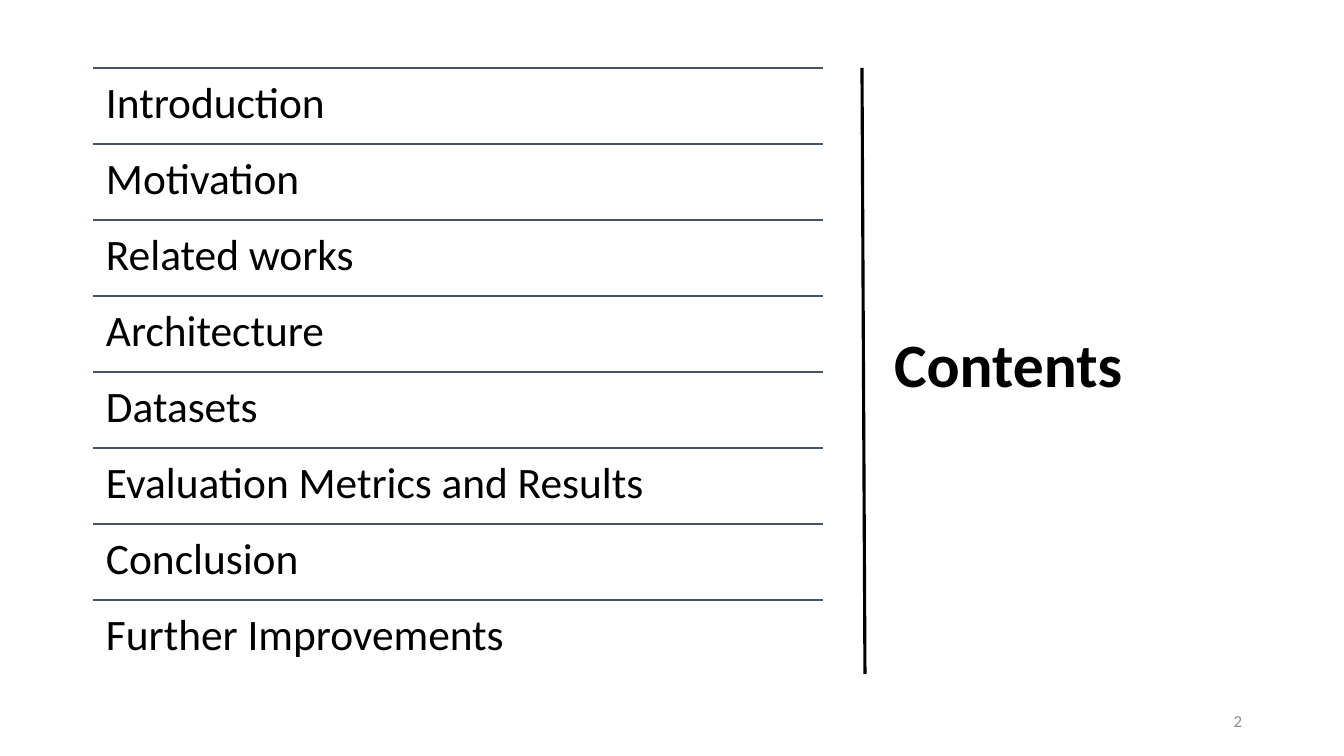
from pptx import Presentation
from pptx.dml.color import RGBColor
from pptx.enum.shapes import MSO_CONNECTOR as CONN
from pptx.enum.text import MSO_ANCHOR as ANCHOR, PP_ALIGN as ALIGN
from pptx.oxml.ns import qn
from pptx.util import Pt
from lxml import etree

PX = 12192000 / 1344  # EMU in one px
FONT = "Calibri"
COLORS = {"text": "000000", "rule": "44546A", "number": "8C8C8C"}
TOPICS = [
    "Introduction", "Motivation", "Related works", "Architecture", "Datasets",
    "Evaluation Metrics and Results", "Conclusion", "Further Improvements",
]
LIST_LEFT, LIST_TOP, LIST_WIDTH, ROW_HEIGHT = 93, 68, 730, 76


def px(*lengths):
    return [round(n * PX) for n in lengths]


def color(name):
    return RGBColor.from_string(COLORS[name])


def set_text(s, text, size, name="text", bold=False, align=ALIGN.LEFT,
             anchor=ANCHOR.MIDDLE, inset=None, spacing=None):
    tf = s.text_frame
    tf.text = text
    tf.word_wrap = True
    tf.vertical_anchor = anchor
    if inset is not None:
        tf.margin_left = tf.margin_top = tf.margin_right = tf.margin_bottom = px(inset)[0]
    p = tf.paragraphs[0]
    p.alignment = align
    p.line_spacing = spacing
    font = p.runs[0].font
    font.name, font.size, font.bold = FONT, Pt(size), bold
    font.color.rgb = color(name)


def add_line(slide, x1, y1, x2, y2, name, width):
    line = slide.shapes.add_connector(CONN.STRAIGHT, *px(x1, y1, x2, y2))
    line.line.color.rgb = color(name)
    line.line.width = Pt(width)
    etree.SubElement(line._element.spPr, qn("a:effectLst"))


def add_text(slide, box, text, size, **style):
    set_text(slide.shapes.add_textbox(*px(*box)), text, size, **style)


def add_topic(slide, row, topic):
    top = LIST_TOP + row * ROW_HEIGHT
    add_line(slide, LIST_LEFT, top, LIST_LEFT + LIST_WIDTH, top, "rule", 1)
    add_text(slide, (LIST_LEFT, top, LIST_WIDTH, ROW_HEIGHT), topic, 31,
             anchor=ANCHOR.TOP, inset=13, spacing=0.9)


def main():
    prs = Presentation()
    prs.slide_width, prs.slide_height = px(1344, 756)
    slide = prs.slides.add_slide(prs.slide_layouts[5])

    # Title on the right
    title = slide.shapes.title
    title.left, title.top, title.width, title.height = px(884, 60, 368, 615)
    set_text(title, "Contents", 44, bold=True, spacing=0.9)

    # Ruled list of topics
    for row, topic in enumerate(TOPICS):
        add_topic(slide, row, topic)

    # Divider and slide number
    add_line(slide, 862, 68, 865, 674, "text", 2.25)
    add_text(slide, (950, 701, 302, 40), "2", 12, name="number", align=ALIGN.RIGHT)

    prs.save("out.pptx")


if __name__ == "__main__":
    main()
